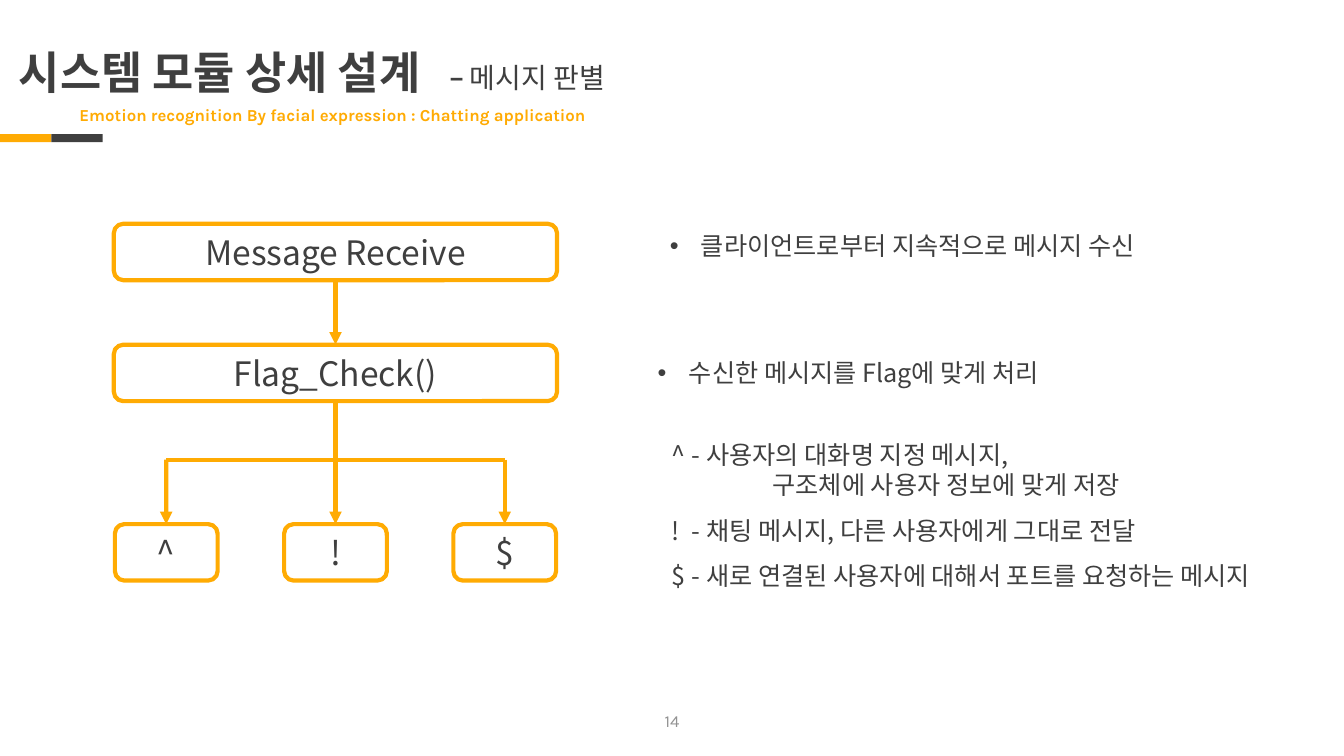
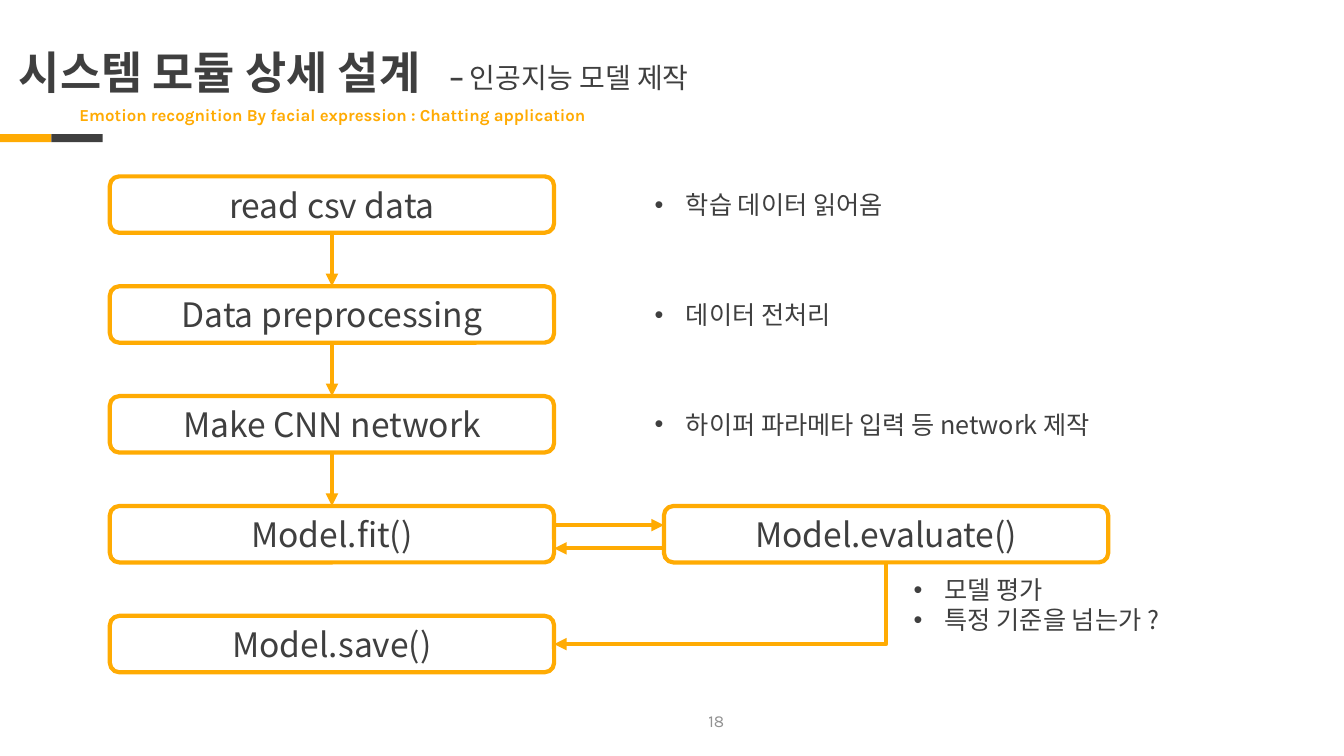
from itertools import pairwise

from lxml.etree import SubElement
from pptx import Presentation
from pptx.dml.color import RGBColor
from pptx.enum.shapes import MSO_CONNECTOR as Connector, MSO_SHAPE as Shape
from pptx.enum.text import MSO_ANCHOR as Anchor, PP_ALIGN as Align
from pptx.oxml.ns import qn
from pptx.util import Inches, Pt

COLORS = {"accent": "FFAB03", "dark": "3F3F3F", "page": "929292"}
KOREAN, LATIN, DASH = "Noto Sans CJK KR", "Karla", "Manrope"
STYLES = {
    "title": {"name": KOREAN, "size": Pt(32), "bold": True},
    "subtitle": {"name": LATIN, "size": Pt(12), "bold": True},
    "page": {"name": LATIN, "size": Pt(12)},
    "dash": {"name": DASH, "size": Pt(20), "bold": True},
    "topic": {"name": KOREAN, "size": Pt(20), "bold": False},
    "box": {"name": KOREAN, "size": Pt(24)},
    "note": {"name": KOREAN, "size": Pt(18)},
}
STYLE_COLORS = {"subtitle": "accent", "page": "page"}
TITLE = "시스템 모듈 상세 설계"
SUBTITLE = "Emotion recognition By facial expression : Chatting application"
BOX_HEIGHT = 0.56


def color(name):
    return RGBColor.from_string(COLORS[name])


def add_run(paragraph, text, style):
    run = paragraph.add_run()
    run.text = text
    for name, value in STYLES[style].items():
        setattr(run.font, name, value)
    run.font.color.rgb = color(STYLE_COLORS.get(style, "dark"))
    east_asian = SubElement(run.font._element, qn("a:ea"))
    east_asian.set("typeface", STYLES[style]["name"])


def add_frame(slide, area, anchor=Anchor.TOP):
    frame = slide.shapes.add_textbox(*map(Inches, area)).text_frame
    frame.word_wrap = True
    frame.vertical_anchor = anchor
    return frame


def add_label(slide, area, runs, anchor=Anchor.TOP, **paragraph_format):
    paragraph = add_frame(slide, area, anchor).paragraphs[0]
    for text, style in runs:
        add_run(paragraph, text, style)
    for name, value in paragraph_format.items():
        setattr(paragraph, name, value)


def add_paragraphs(frame, count):
    return [frame.paragraphs[0]] + [frame.add_paragraph() for _ in range(count - 1)]


def add_bullets(slide, area, lines):
    frame = add_frame(slide, area)
    for paragraph, text in zip(add_paragraphs(frame, len(lines)), lines):
        properties = paragraph._p.get_or_add_pPr()
        properties.set("marL", str(Inches(0.31)))
        properties.set("indent", str(-Inches(0.31)))
        SubElement(properties, qn("a:buFont")).set("typeface", "Arial")
        SubElement(properties, qn("a:buChar")).set("char", "•")
        add_run(paragraph, text, "note")


def add_tabbed_lines(slide, area, lines):
    frame = add_frame(slide, area)
    for paragraph, (text, tab, spacing) in zip(add_paragraphs(frame, len(lines)), lines):
        paragraph.line_spacing = spacing
        stops = SubElement(paragraph._p.get_or_add_pPr(), qn("a:tabLst"))
        stop = SubElement(stops, qn("a:tab"))
        stop.set("pos", str(Inches(tab)))
        stop.set("algn", "l")
        add_run(paragraph, text, "note")


def add_box(slide, left, top, width, text):
    area = map(Inches, (left, top, width, BOX_HEIGHT))
    shape = slide.shapes.add_shape(Shape.ROUNDED_RECTANGLE, *area)
    shape.shadow.inherit = False
    shape.fill.background()
    shape.line.color.rgb = color("accent")
    shape.line.width = Pt(3)
    shape.text_frame.vertical_anchor = Anchor.MIDDLE
    paragraph = shape.text_frame.paragraphs[0]
    paragraph.alignment = Align.CENTER
    add_run(paragraph, text, "box")
    return shape


def add_line(slide, start, end, arrow=True, kind=Connector.STRAIGHT):
    line = slide.shapes.add_connector(kind, *map(Inches, start + end))
    line.line.color.rgb = color("accent")
    line.line.width = Pt(3)
    if arrow:
        SubElement(line.line._get_or_add_ln(), qn("a:tailEnd")).set("type", "triangle")
    SubElement(line._element.spPr, qn("a:effectLst"))
    return line


def add_down_arrow(slide, upper, lower):
    arrow = add_line(slide, (0, 0), (0, 0))
    arrow.begin_connect(upper, 2)
    arrow.end_connect(lower, 0)


def add_corner_arrow(slide, start, end):
    width, height = start[0] - end[0], end[1] - start[1]
    middle_x, middle_y = (start[0] + end[0]) / 2, (start[1] + end[1]) / 2
    arrow = add_line(
        slide,
        (middle_x - height / 2, middle_y - width / 2),
        (middle_x + height / 2, middle_y + width / 2),
        kind=Connector.ELBOW,
    )
    properties = arrow._element.spPr
    properties.find(qn("a:xfrm")).set("rot", str(90 * 60000))
    properties.find(qn("a:prstGeom")).set("prst", "bentConnector2")


def add_base_slide(presentation, topic, page, page_left):
    slide = presentation.slides.add_slide(presentation.slide_layouts[6])
    for index, name in enumerate(("accent", "dark")):
        band = slide.shapes.add_shape(
            Shape.RECTANGLE, *map(Inches, (0.51 * index, 1.33, 0.51, 0.08))
        )
        band.shadow.inherit = False
        band.fill.solid()
        band.fill.fore_color.rgb = color(name)
        band.line.fill.background()
    add_label(slide, (0.09, 0.13, 11.5, 1.22), [(TITLE, "title")],
              Anchor.MIDDLE, line_spacing=0.9)
    add_label(slide, (0.69, 0.95, 11.5, 0.4), [(SUBTITLE, "subtitle")],
              Anchor.MIDDLE, line_spacing=0.9)
    add_label(slide, (4.36, 0.55, 4, 0.44), [("– ", "dash"), (topic, "topic")])
    add_label(slide, (page_left, 6.95, 3, 0.4), [(page, "page")],
              Anchor.MIDDLE, alignment=Align.CENTER)
    return slide


def add_message_slide(presentation):
    slide = add_base_slide(presentation, "메시지 판별", "14", 5.17)
    receive = add_box(slide, 1.13, 2.22, 4.4, "Message Receive")
    check = add_box(slide, 1.13, 3.42, 4.4, "Flag_Check()")
    add_down_arrow(slide, receive, check)

    first_center, step, branch_top, flag_width = 1.65, 1.68, 4.56, 1.02
    add_line(slide, (first_center, branch_top),
             (first_center + 2 * step, branch_top), arrow=False)
    for index, text in enumerate("^!$"):
        center = first_center + index * step
        flag = add_box(slide, center - flag_width / 2, 5.2, flag_width, text)
        if text == "!":
            add_down_arrow(slide, check, flag)
        else:
            add_line(slide, (center, branch_top), (center, 5.2)).end_connect(flag, 0)

    add_bullets(slide, (6.55, 2.24, 5.5, 0.4), ["클라이언트로부터 지속적으로 메시지 수신"])
    add_bullets(slide, (6.43, 3.5, 5.5, 0.4), ["수신한 메시지를 Flag에 맞게 처리"])
    add_tabbed_lines(slide, (6.57, 4.31, 6.7, 1.6), [
        ("^\t- 사용자의 대화명 지정 메시지,", 0.2, 1.0),
        ("\t구조체에 사용자 정보에 맞게 저장", 1, 1.0),
        ("!\t- 채팅 메시지, 다른 사용자에게 그대로 전달", 0.2, 1.5),
        ("$\t- 새로 연결된 사용자에 대해서 포트를 요청하는 메시지", 0.2, 1.5),
    ])


def add_model_slide(presentation):
    slide = add_base_slide(presentation, "인공지능 모델 제작", "18", 5.61)
    left, top, width, step = 1.09, 1.75, 4.41, 1.09
    steps = ["read csv data", "Data preprocessing", "Make CNN network",
             "Model.fit()", "Model.save()"]
    boxes = [add_box(slide, left, top + index * step, width, text)
             for index, text in enumerate(steps)]
    for upper, lower in pairwise(boxes[:4]):
        add_down_arrow(slide, upper, lower)

    right, evaluate_left, evaluate_top = left + width, 6.59, top + 3 * step
    add_box(slide, evaluate_left, evaluate_top, width, "Model.evaluate()")
    add_line(slide, (right, 5.21), (evaluate_left, 5.21))
    add_line(slide, (evaluate_left, 5.44), (right, 5.44))
    add_corner_arrow(slide, (evaluate_left + width / 2, evaluate_top + BOX_HEIGHT),
                     (right, top + 4 * step + BOX_HEIGHT / 2))

    notes = ["학습 데이터 읽어옴", "데이터 전처리", "하이퍼 파라메타 입력 등 network 제작"]
    for index, note in enumerate(notes):
        add_bullets(slide, (6.4, 1.83 + index * step, 5.5, 0.4), [note])
    add_bullets(slide, (8.97, 5.65, 3.5, 0.7), ["모델 평가", "특정 기준을 넘는가 ?"])


def main():
    presentation = Presentation()
    presentation.slide_width = Inches(13.34)
    presentation.slide_height = Inches(7.5)
    add_message_slide(presentation)
    add_model_slide(presentation)
    presentation.save("out.pptx")


if __name__ == "__main__":
    main()
